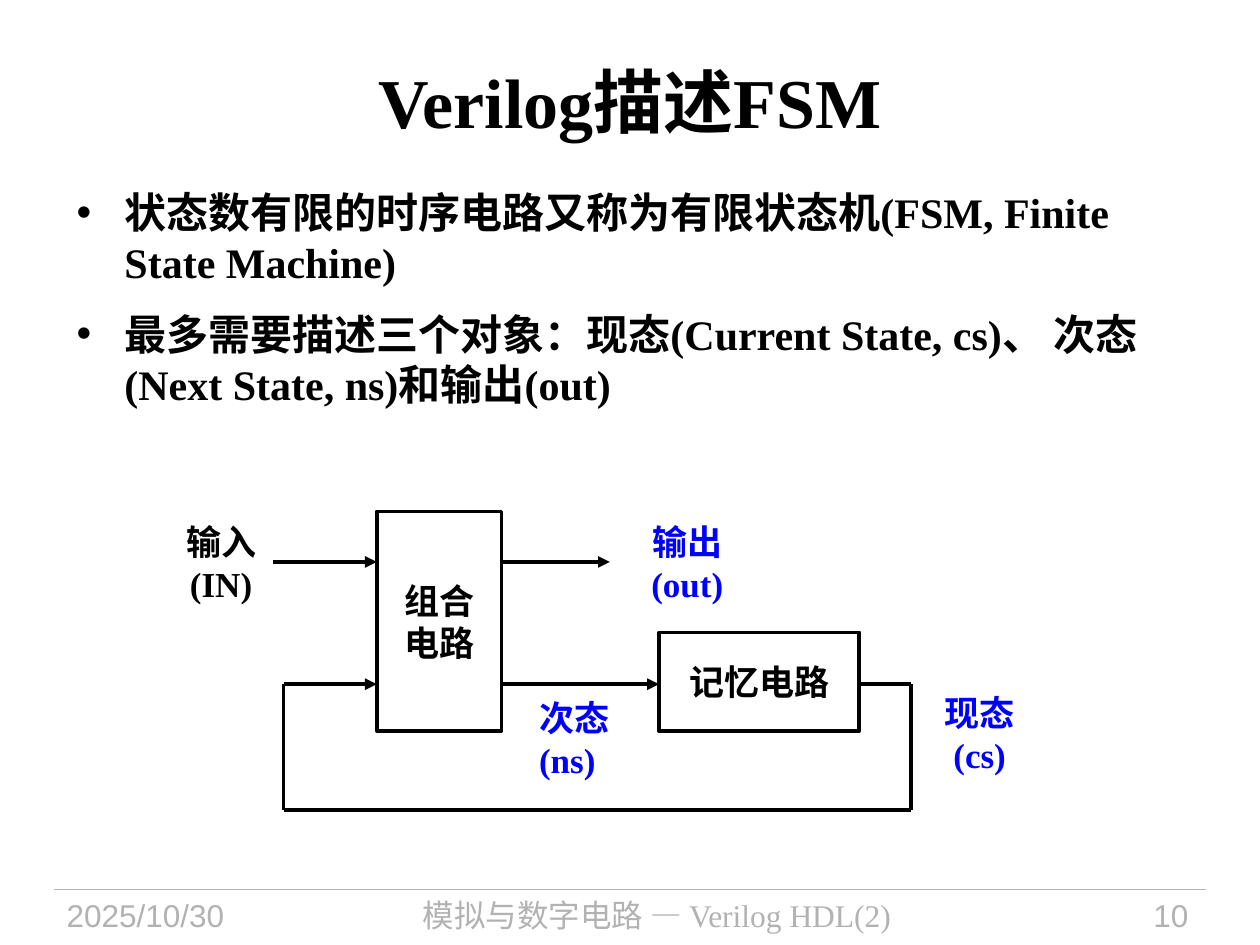
from dataclasses import dataclass

from lxml import etree
from pptx import Presentation
from pptx.dml.color import RGBColor
from pptx.enum import shapes, text
from pptx.oxml import ns
from pptx.util import Inches, Pt

LEFT, CENTER, RIGHT = text.PP_ALIGN.LEFT, text.PP_ALIGN.CENTER, text.PP_ALIGN.RIGHT


@dataclass(frozen=True)
class Theme:
    black: RGBColor = RGBColor(0, 0, 0)
    white: RGBColor = RGBColor(255, 255, 255)
    blue: RGBColor = RGBColor(0, 0, 255)
    gray: RGBColor = RGBColor(0xB2, 0xB2, 0xB2)
    serif: str = "Times New Roman"
    sans: str = "Arial"
    title: int = 40
    body: int = 24
    label: int = 20
    footer: int = 18
    line: float = 2.25
    rule: float = 0.75


THEME = Theme()


def add_child(parent, tag, **attributes):
    return etree.SubElement(parent, ns.qn(tag), attributes)


def place(shape, left, top, width, height):
    shape.left, shape.top = Inches(left), Inches(top)
    shape.width, shape.height = Inches(width), Inches(height)


def add_bullet(paragraph, indent):
    properties = paragraph._p.get_or_add_pPr()
    properties.set("marL", str(Inches(indent)))
    properties.set("indent", str(-Inches(indent)))
    add_child(properties, "a:buFont", typeface=THEME.sans)
    add_child(properties, "a:buChar", char="•")


def write_text(frame, lines, *, size=THEME.label, font=THEME.serif, color=THEME.black,
               bold=True, align=LEFT, anchor=text.MSO_ANCHOR.TOP, wrap=True,
               after=0, indent=None):
    frame.auto_size = text.MSO_AUTO_SIZE.NONE
    frame.word_wrap = wrap
    frame.vertical_anchor = anchor
    for index, line in enumerate(lines):
        paragraph = frame.add_paragraph() if index else frame.paragraphs[0]
        paragraph.text = line
        paragraph.alignment = align
        paragraph.space_after = Pt(after)
        if indent:
            add_bullet(paragraph, indent)
        paragraph.font.size = Pt(size)
        paragraph.font.name = font
        paragraph.font.bold = bold
        paragraph.font.color.rgb = color


def add_text(slide, position, lines, **style):
    box = slide.shapes.add_textbox(*map(Inches, position))
    write_text(box.text_frame, lines, **style)


def add_block(slide, position, lines):
    block = slide.shapes.add_shape(shapes.MSO_SHAPE.RECTANGLE, *map(Inches, position))
    block.shadow.inherit = False
    block.fill.solid()
    block.fill.fore_color.rgb = THEME.white
    block.line.color.rgb = THEME.black
    block.line.width = Pt(THEME.line)
    frame = block.text_frame
    frame.margin_left = frame.margin_right = frame.margin_top = frame.margin_bottom = 0
    write_text(frame, lines, font=THEME.sans, align=CENTER,
               anchor=text.MSO_ANCHOR.MIDDLE, wrap=False)


def add_line(slide, start, end, color=THEME.black, width=THEME.line, arrow=False):
    line = slide.shapes.add_connector(
        shapes.MSO_CONNECTOR.STRAIGHT, *map(Inches, (*start, *end)))
    line.line.color.rgb = color
    line.line.width = Pt(width)
    if arrow:
        add_child(line.line._get_or_add_ln(), "a:tailEnd", type="triangle")
    add_child(line._element.spPr, "a:effectLst")


def add_diagram(slide):
    # Circuit blocks
    add_block(slide, (2.99, 4.06, 0.99, 1.74), ["组合", "电路"])
    add_block(slide, (5.23, 5.02, 1.59, 0.78), ["记忆电路"])

    # Signals into and out of the blocks
    signal_y, state_y, bottom_y = 4.46, 5.43, 6.43
    feedback_left, feedback_right = 2.25, 7.23
    for x1, x2, y in ((2.17, 2.99, signal_y), (3.98, 4.84, signal_y),
                      (feedback_left, 2.99, state_y), (3.98, 5.23, state_y)):
        add_line(slide, (x1, y), (x2, y), arrow=True)

    # Feedback path from memory back to the combinational block
    corners = [(6.82, state_y), (feedback_right, state_y), (feedback_right, bottom_y),
               (feedback_left, bottom_y), (feedback_left, state_y)]
    for start, end in zip(corners, corners[1:]):
        add_line(slide, start, end)

    # Signal labels
    for left, top, width, lines, color, align in (
            (1.26, 4.08, 0.99, ["输入", "(IN)"], THEME.black, CENTER),
            (4.88, 4.08, 1.15, ["输出", "(out)"], THEME.blue, CENTER),
            (4.18, 5.48, 0.99, ["次态", "(ns)"], THEME.blue, LEFT),
            (7.27, 5.44, 1.01, ["现态", "(cs)"], THEME.blue, CENTER)):
        add_text(slide, (left, top, width, 0.77), lines, color=color, align=align)


def add_footer(slide):
    top, height = 7.06, 0.44
    add_line(slide, (0.43, top), (9.57, top), color=THEME.gray, width=THEME.rule)
    for left, width, line, font, align in (
            (0.43, 1.88, "2025/10/30", THEME.sans, LEFT),
            (2.4, 5.63, "模拟与数字电路 — Verilog HDL(2)", THEME.serif, CENTER),
            (8.2, 1.33, "10", THEME.sans, RIGHT)):
        add_text(slide, (left, top, width, height), [line], size=THEME.footer,
                 font=font, color=THEME.gray, bold=False, align=align)


def main():
    presentation = Presentation()
    presentation.slide_width, presentation.slide_height = Inches(10), Inches(7.5)
    slide = presentation.slides.add_slide(presentation.slide_layouts[5])

    # Title
    title = slide.shapes.title
    place(title, 0.5, 0.17, 9, 1.25)
    write_text(title.text_frame, ["Verilog描述FSM"], size=THEME.title, align=CENTER,
               anchor=text.MSO_ANCHOR.MIDDLE)

    # Key points
    add_text(slide, (0.51, 1.43, 8.9, 2.39), [
        "状态数有限的时序电路又称为有限状态机(FSM, Finite State Machine)",
        "最多需要描述三个对象：现态(Current State, cs)、 次态(Next State, ns)和输出(out)",
    ], size=THEME.body, after=12, indent=0.38)

    add_diagram(slide)
    add_footer(slide)
    presentation.save("out.pptx")


if __name__ == "__main__":
    main()
